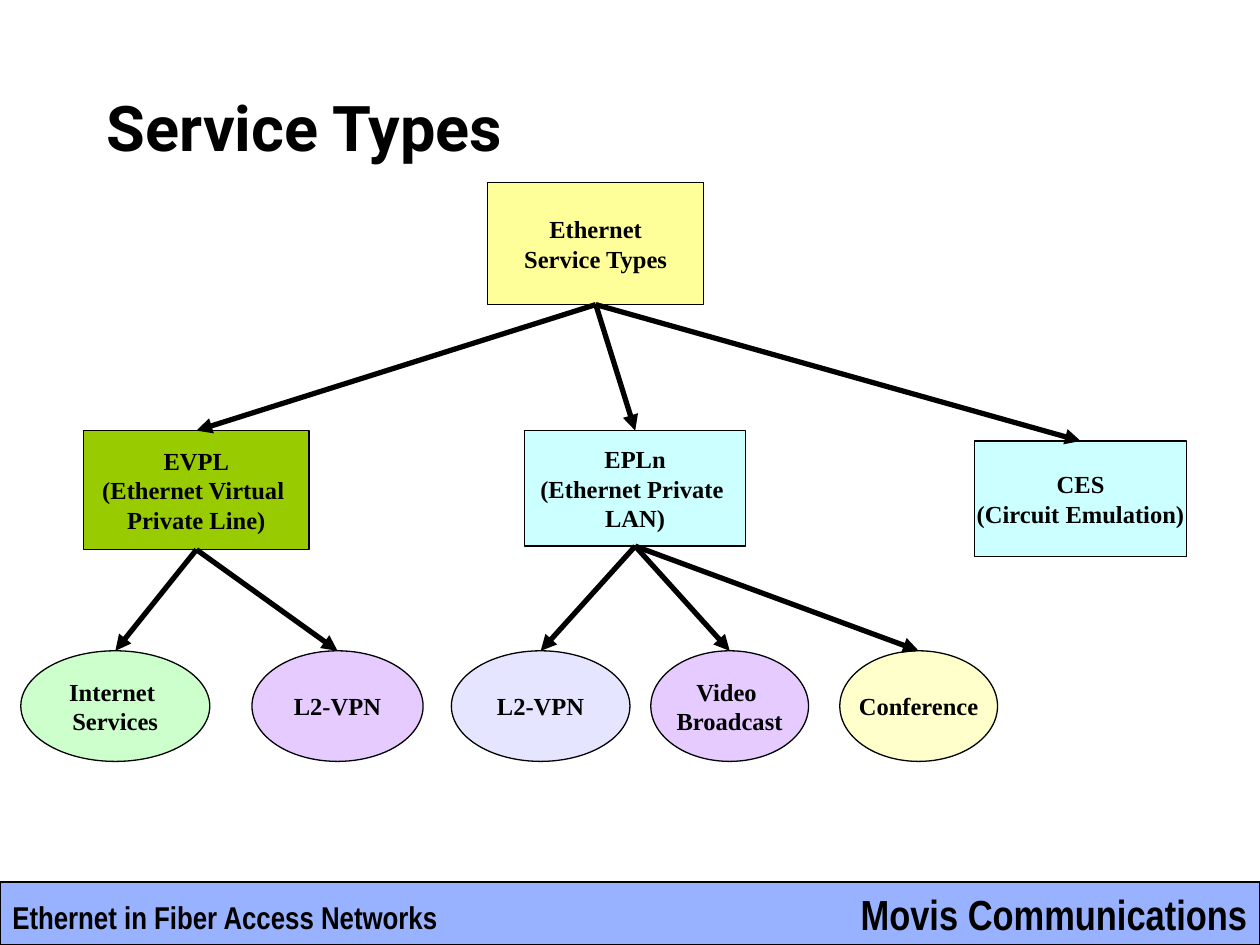
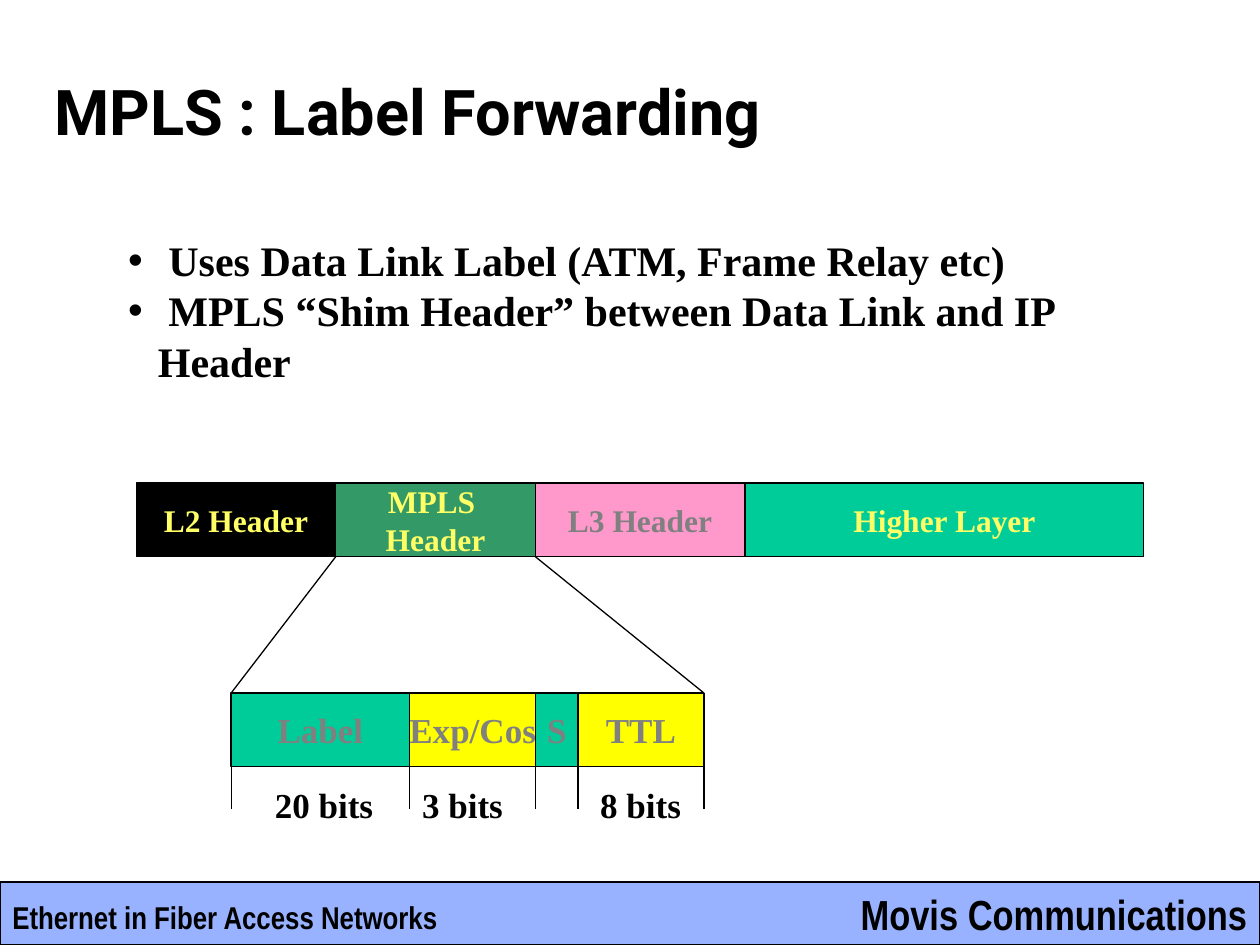
from itertools import accumulate

from lxml import etree
from pptx import Presentation
from pptx.dml.color import RGBColor
from pptx.enum.shapes import MSO_CONNECTOR, MSO_SHAPE
from pptx.enum.text import MSO_ANCHOR, MSO_AUTO_SIZE, PP_ALIGN
from pptx.oxml.ns import qn
from pptx.util import Cm, Pt

RECTANGLE, ELLIPSE = MSO_SHAPE.RECTANGLE, MSO_SHAPE.OVAL
STRAIGHT = MSO_CONNECTOR.STRAIGHT
LEFT, CENTER = PP_ALIGN.LEFT, PP_ALIGN.CENTER
TOP, MIDDLE = MSO_ANCHOR.TOP, MSO_ANCHOR.MIDDLE
NO_AUTOFIT = MSO_AUTO_SIZE.NONE
TITLE_AND_BODY, TITLE_ONLY = 1, 5
TOP_SITE, BOTTOM_SITE = 0, 2

WIDTH, HEIGHT = 25.4, 19.05
BAND_TOP, BAND_HEIGHT = 17.78, 1.27
TITLE_FONT, BODY_FONT, BAND_FONT = "Roboto", "Times New Roman", "Arial Narrow"

BLACK, GREY, WHITE = "000000", "808080", "FFFFFF"
BAND_BLUE = "3366FF"
LIME, PALE_CYAN, PALE_YELLOW, CREAM = "99CC00", "CCFFFF", "FFFF99", "FFFFCC"
MINT, VIOLET, LAVENDER = "CCFFCC", "CC99FF", "CCCCFF"
GREEN, PINK, TEAL = "339966", "FF99CC", "00CC99"
YELLOW, TEXT_YELLOW = "FFFF00", "FFFF66"


def color(value):
    return RGBColor.from_string(value)


def lengths(area):
    return [Cm(value) for value in area]


class DeckStyle:
    """Holds the deck's look and the page being filled."""

    def __init__(self):
        self.deck = Presentation()
        self.deck.slide_width, self.deck.slide_height = Cm(WIDTH), Cm(HEIGHT)
        self.page = None

    def add_page(self, layout, title, title_area):
        self.page = self.deck.slides.add_slide(self.deck.slide_layouts[layout])
        self.page.background.fill.solid()
        self.page.background.fill.fore_color.rgb = color(WHITE)
        self.add_band()
        box = self.page.shapes.title
        self.place(box, title_area)
        self.set_lines(box, [title], 36, font=TITLE_FONT, align=LEFT, wrap=True)

    def add_band(self):
        self.add_box(RECTANGLE, (0, BAND_TOP, WIDTH, BAND_HEIGHT), BAND_BLUE, opacity=50)
        self.add_text("Movis Communications", (17.1, BAND_TOP, 8.3, BAND_HEIGHT),
                      24, BAND_FONT)
        self.add_text("Ethernet in Fiber Access Networks", (0, 17.98, 9.1, 1.02),
                      18, BAND_FONT)

    def place(self, box, area):
        box.left, box.top, box.width, box.height = lengths(area)

    def set_lines(self, box, lines, size, ink=BLACK, font=BODY_FONT,
                  align=CENTER, anchor=MIDDLE, wrap=False, bullets=False):
        """Put each line in a paragraph of its own."""
        frame = box.text_frame
        frame.auto_size = NO_AUTOFIT
        frame.word_wrap = wrap
        frame.vertical_anchor = anchor
        for index, line in enumerate(lines):
            para = frame.add_paragraph() if index else frame.paragraphs[0]
            if bullets:
                self.set_bullet(para)
            para.alignment = align
            para.space_before = Pt(0)
            span = para.add_run()
            span.text = line
            span.font.name, span.font.size, span.font.bold = font, Pt(size), True
            span.font.color.rgb = color(ink)

    def set_bullet(self, para):
        properties = para._p.get_or_add_pPr()
        properties.set("marL", str(Cm(0.6)))
        properties.set("indent", str(-Cm(0.6)))
        etree.SubElement(properties, qn("a:buChar")).set("char", "•")

    def add_list(self, items, area):
        box = self.page.placeholders[1]
        self.place(box, area)
        self.set_lines(box, items, 24, align=LEFT, anchor=TOP, wrap=True, bullets=True)

    def add_text(self, text, area, size, font=BODY_FONT):
        box = self.page.shapes.add_textbox(*lengths(area))
        self.set_lines(box, [text], size, font=font, align=LEFT, anchor=TOP)

    def add_box(self, kind, area, fill, lines=(), size=14, ink=BLACK, opacity=100):
        box = self.page.shapes.add_shape(kind, *lengths(area))
        box.shadow.inherit = False
        box.fill.solid()
        box.fill.fore_color.rgb = color(fill)
        if opacity < 100:
            tint = box._element.spPr.find(".//" + qn("a:srgbClr"))
            etree.SubElement(tint, qn("a:alpha")).set("val", str(opacity * 1000))
        box.line.color.rgb = color(BLACK)
        box.line.width = Pt(0.75)
        self.set_lines(box, lines, size, ink)
        return box

    def add_line(self, start=(0, 0), end=(0, 0), weight=0.75):
        line = self.page.shapes.add_connector(STRAIGHT, *lengths(start + end))
        line.line.color.rgb = color(BLACK)
        line.line.width = Pt(weight)
        etree.SubElement(line._element.spPr, qn("a:effectLst"))
        return line

    def add_arrow(self, parent, child):
        arrow = self.add_line(weight=3)
        arrow.begin_connect(parent, BOTTOM_SITE)
        arrow.end_connect(child, TOP_SITE)
        outline = arrow._element.spPr.find(qn("a:ln"))
        etree.SubElement(outline, qn("a:tailEnd")).set("type", "triangle")

    def add_strip(self, left, top, height, size, fields):
        """Draw touching fields in a row and return the x of every edge."""
        edges = list(accumulate([field[0] for field in fields], initial=left))
        for edge, (width, fill, ink, lines) in zip(edges, fields):
            self.add_box(RECTANGLE, (edge, top, width, height), fill, lines, size, ink)
        return edges


def add_service_types(style):
    style.add_page(TITLE_ONLY, "Service Types", (1.9, 1.7, 21.6, 1.7))
    root = style.add_box(RECTANGLE, (9.83, 3.68, 4.36, 2.46), PALE_YELLOW,
                         ["Ethernet", "Service Types"])
    services = [
        ((1.69, 8.68, 4.54, 2.4), LIME,
         ["EVPL", "(Ethernet Virtual ", "Private Line)"],
         [(0.42, 3.81, MINT, 100, ["Internet ", "Services"]),
          (5.08, 3.45, VIOLET, 50, ["L2-VPN"])]),
        ((10.58, 8.68, 4.45, 2.33), PALE_CYAN,
         ["EPLn", "(Ethernet Private ", "LAN)"],
         [(9.1, 3.6, LAVENDER, 50, ["L2-VPN"]),
          (13.12, 3.18, VIOLET, 50, ["Video ", "Broadcast"]),
          (16.93, 3.18, CREAM, 100, ["Conference"])]),
        ((19.65, 8.89, 4.27, 2.33), PALE_CYAN,
         ["CES", "(Circuit Emulation)"], []),
    ]
    for area, fill, lines, uses in services:
        service = style.add_box(RECTANGLE, area, fill, lines)
        style.add_arrow(root, service)
        for left, width, use_fill, opacity, use_lines in uses:
            use = style.add_box(ELLIPSE, (left, 13.12, width, 2.23), use_fill,
                                use_lines, opacity=opacity)
            style.add_arrow(service, use)


def add_label_forwarding(style):
    style.add_page(TITLE_AND_BODY, "MPLS : Label Forwarding", (0.84, 1.27, 21.6, 1.9))
    style.add_list([" Uses Data Link Label (ATM, Frame Relay etc)",
                    " MPLS “Shim Header” between Data Link and IP Header"],
                   (2.33, 4.6, 21.8, 3.3))

    packet_top, shim_top, height = 9.74, 13.97, 1.48
    packet = style.add_strip(2.75, packet_top, height, 18, [
        (4.02, BLACK, TEXT_YELLOW, ["L2 Header"]),
        (4.02, GREEN, TEXT_YELLOW, ["MPLS ", "Header"]),
        (4.23, PINK, GREY, ["L3 Header"]),
        (8.04, TEAL, TEXT_YELLOW, ["Higher Layer"]),
    ])
    shim = style.add_strip(4.66, shim_top, height, 20, [
        (3.6, TEAL, GREY, ["Label"]),
        (2.54, YELLOW, GREY, ["Exp/Cos"]),
        (0.85, TEAL, GREY, ["S"]),
        (2.54, YELLOW, GREY, ["TTL"]),
    ])
    for start, end in ((packet[1], shim[0]), (packet[2], shim[-1])):
        style.add_line((start, packet_top + height), (end, shim_top))
    for edge in shim:
        style.add_line((edge, shim_top), (edge, 16.3))
    for bits, left, width in (("20 bits", 5.29, 2.5), ("3 bits", 8.26, 2.13),
                              ("8 bits", 11.85, 2.13)):
        style.add_text(bits, (left, 15.66, width, 1.11), 20)


def main():
    style = DeckStyle()
    add_service_types(style)
    add_label_forwarding(style)
    style.deck.save("out.pptx")


if __name__ == "__main__":
    main()
